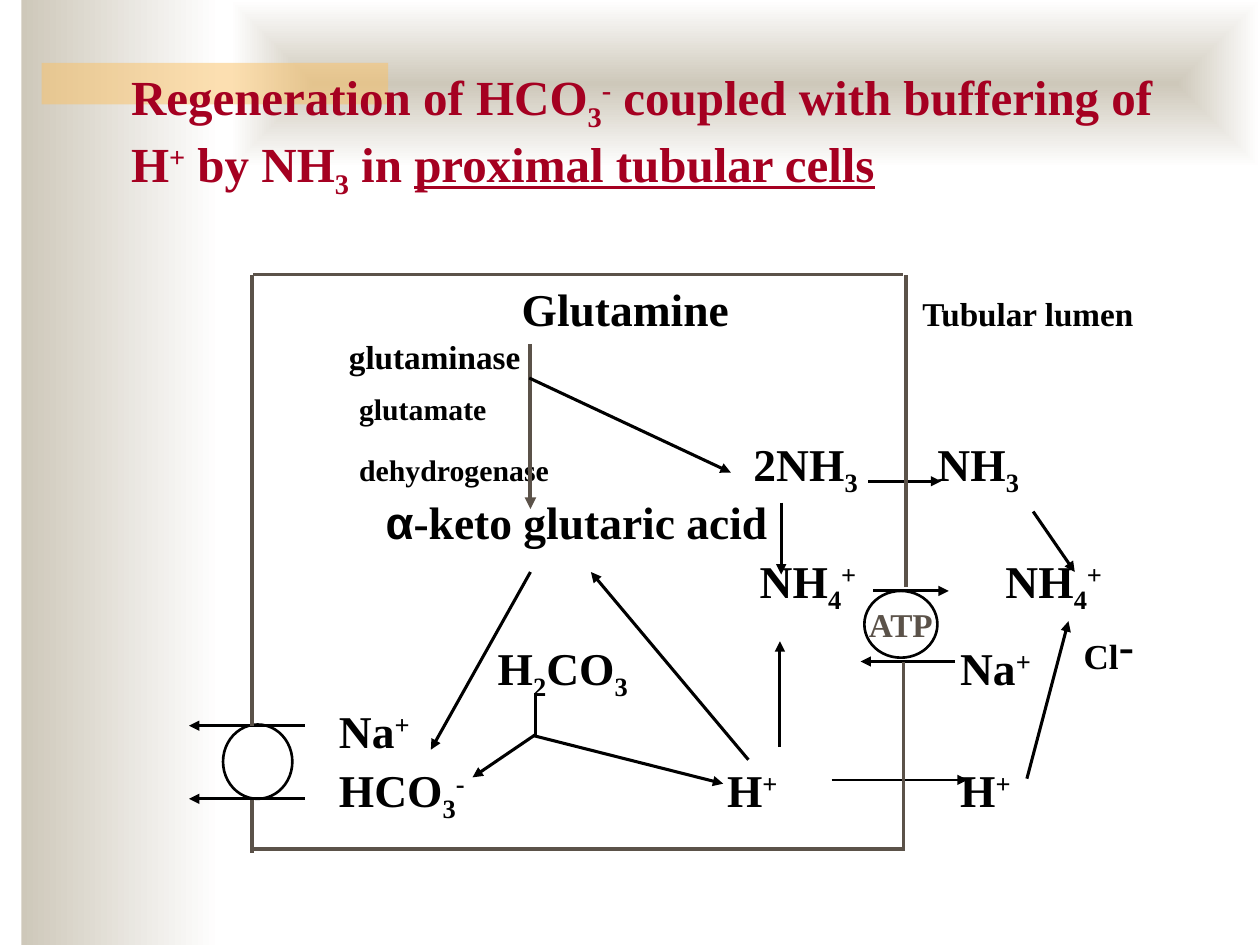
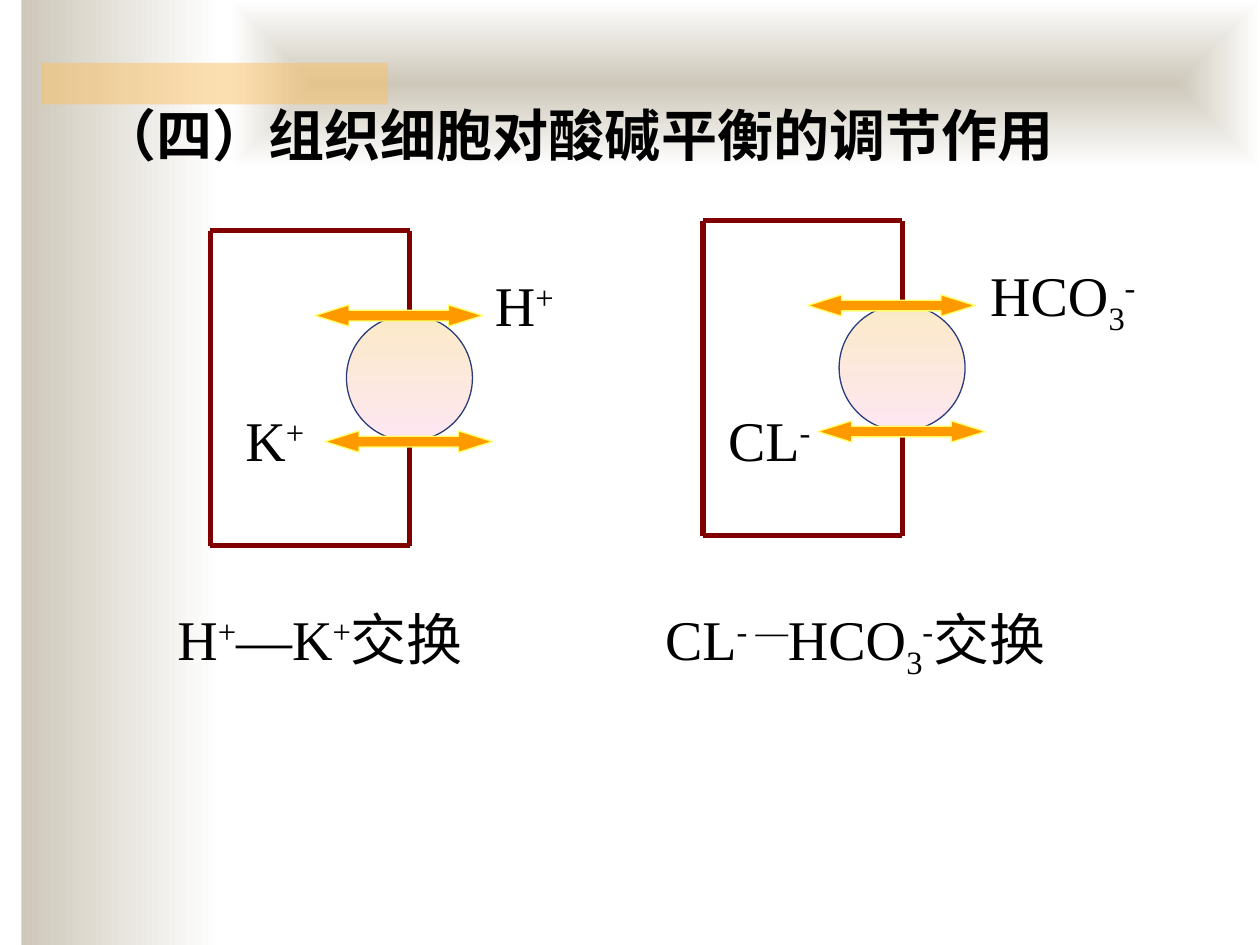
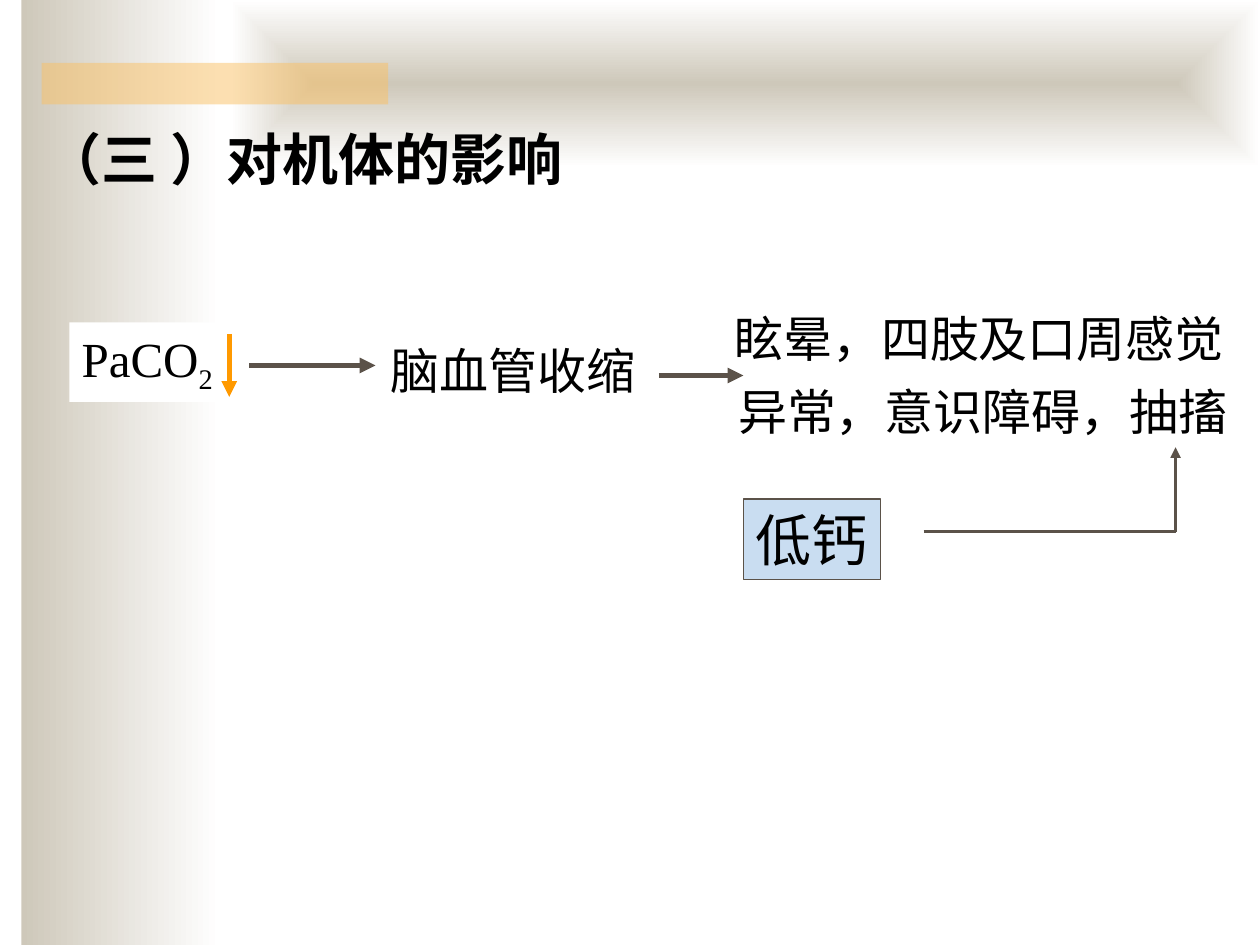
from itertools import groupby

from lxml import etree
from pptx import Presentation
from pptx import util as u
from pptx.dml.color import RGBColor
from pptx.enum import shapes, text
from pptx.oxml.ns import qn

WIDE, HIGH = 10, 7.5
FACE, GREEK = "Times New Roman", "Arial"
BLACK = RGBColor(0x00, 0x00, 0x00)
WHITE = RGBColor(0xFF, 0xFF, 0xFF)
SAND = RGBColor(0xCE, 0xC8, 0xBA)
GOLD = RGBColor(0xFA, 0xC1, 0x64)
RED = RGBColor(0xA5, 0x00, 0x21)
BROWN = RGBColor(0x5B, 0x52, 0x49)
MAROON = RGBColor(0x80, 0x00, 0x00)
ORANGE = RGBColor(0xFF, 0x99, 0x00)
LEMON = RGBColor(0xFF, 0xFF, 0x66)
NAVY = RGBColor(0x2A, 0x3D, 0x7A)
CREAM = RGBColor(0xFB, 0xEA, 0xC7)
PINK = RGBColor(0xFE, 0xE7, 0xF2)
SKY = RGBColor(0xC9, 0xDD, 0xF1)

RECT = shapes.MSO_SHAPE.RECTANGLE
OVAL = shapes.MSO_SHAPE.OVAL
SWAP = shapes.MSO_SHAPE.LEFT_RIGHT_ARROW
SUB, SUP, LINE = "_", "^", "~"

TITLES = [
    ("Regeneration of HCO_3^- coupled with buffering of H^+ by NH_3 in ~proximal tubular cells~",
     (0.94, 0.39, 8.5, 1.25), dict(size=28, color=RED, low=True)),
    ("（四）组织细胞对酸碱平衡的调节作用", (0.7, 0.75, 8.3, 0.64), dict(size=32)),
    ("（三 ）对机体的影响", (0.26, 0.94, 5, 0.64), dict(size=32)),
]

LABELS = [
    ("Glutamine", 4.14, 2.59, 26), ("Tubular lumen", 7.32, 2.59, 19),
    ("glutaminase", 2.77, 2.93, 19), ("glutamate", 2.85, 3.34, 17),
    ("dehydrogenase", 2.85, 3.82, 17),
    ("2NH_3", 5.98, 3.82, 26), ("NH_3", 7.44, 3.82, 26),
    ("α-keto glutaric acid", 3.06, 4.28, 26),
    ("NH_4^+", 6.03, 4.75, 26), ("NH_4^+", 7.98, 4.75, 26),
    ("H_2CO_3", 3.95, 5.44, 26), ("Na^+", 7.62, 5.44, 26),
    ("Cl", 8.6, 5.31, 20), ("-", 8.88, 5.26, 26),
    ("Na^+", 2.69, 5.94, 26), ("HCO_3^-", 2.69, 6.41, 26),
    ("H^+", 5.77, 6.41, 26), ("H^+", 7.62, 6.41, 26),
]
STEPS = [
    (4.25, 5.83, 3.75, 6.17), (4.24, 5.84, 5.74, 6.22), (4.2, 3, 5.8, 3.75),
    (6.2, 3.99, 6.2, 4.56), (6.19, 5.93, 6.19, 5.09), (6.93, 4.69, 7.53, 4.69),
    (8.2, 4.06, 8.53, 4.54), (8.15, 6.18, 8.48, 4.93),
    (5.94, 6.03, 4.69, 4.54), (4.21, 4.54, 3.42, 5.95),
]
FLOWS = [
    (6.89, 3.82, 7.47, 3.82), (7.58, 5.25, 6.83, 5.25), (6.6, 6.19, 7.68, 6.19),
    (2.42, 5.76, 1.5, 5.76), (2.42, 6.34, 1.5, 6.34),
]
WALLS = [
    (2, 5.76, 2, 2.18), (2, 6.35, 2, 6.77), (7.19, 4.66, 7.19, 2.18),
    (2.01, 2.18, 7.17, 2.18), (7.17, 5.25, 7.17, 6.75), (2, 6.74, 7.17, 6.74),
]

CELLS = [(1.67, 1.83), (5.58, 1.75)]
IONS = [
    ("H^+", (3.83, 2.1, 0.66, 0.64)), ("K^+", (1.85, 3.17, 0.66, 0.64)),
    ("H^+—K^+交换", (1.31, 4.75, 2.57, 0.64)),
    ("HCO_3^-", (7.76, 2.02, 1.35, 0.71)), ("CL^-", (5.68, 3.17, 0.85, 0.64)),
    ("CL^-^ ^—HCO_3^-交换", (5.18, 4.75, 3.32, 0.71)),
]

NOTES = [
    ("PaCO_2", (0.55, 2.56, 1.24, 0.63), 28, WHITE, None),
    ("脑血管收缩", (3, 2.65, 2.14, 0.57), 28, WHITE, None),
    ("眩晕，四肢及口周感觉", (5.73, 2.4, 4.09, 0.57), 28, WHITE, None),
    ("异常，意识障碍，抽搐", (5.76, 2.98, 4.08, 0.57), 28, WHITE, None),
    ("低钙", (5.9, 3.96, 1.09, 0.64), 32, SKY, BROWN),
]
LINKS = [
    ((1.82, 2.65, 1.82, 3.15), ORANGE, 3, True),
    ((1.98, 2.9, 2.98, 2.9), BROWN, 3, True),
    ((5.23, 2.98, 5.9, 2.98), BROWN, 3, True),
    ((9.33, 4.22, 9.33, 3.55), BROWN, 2, True),
    ((7.33, 4.22, 9.33, 4.22), BROWN, 2, False),
]


def inch(nums):
    return [u.Inches(n) for n in nums]


def split(line):
    base, under, out = 0, False, []
    for c in line:
        if c == LINE:
            under = not under
        elif c in (SUB, SUP):
            base = -25000 if c == SUB else 30000
        else:
            out.append((c, (base, under, GREEK if c == "α" else FACE)))
            base = 0
    for mark, group in groupby(out, key=lambda pair: pair[1]):
        yield "".join(c for c, _ in group), mark


def write(shape, line, size=28, color=BLACK, bold=False, wrap=True, low=False,
          mid=False, pad=(0.1, 0.05)):
    frame = shape.text_frame
    frame.auto_size = text.MSO_AUTO_SIZE.NONE
    frame.word_wrap = wrap
    frame.margin_left = frame.margin_right = u.Inches(pad[0])
    frame.margin_top = frame.margin_bottom = u.Inches(pad[1])
    anchor = text.MSO_ANCHOR
    frame.vertical_anchor = anchor.BOTTOM if low else anchor.MIDDLE if mid else anchor.TOP
    para = frame.paragraphs[0]
    para.alignment = text.PP_ALIGN.CENTER if mid else text.PP_ALIGN.LEFT
    for part, (base, under, face) in split(line):
        run = para.add_run()
        run.text = part
        font = run.font
        font.name, font.size, font.bold = face, u.Pt(size), bold
        font.color.rgb = color
        if under:
            font.underline = True
        if base:
            run._r.get_or_add_rPr().set("baseline", str(base))


def draw(slide, kind, box, fill=None, edge=None, thick=0.75):
    shape = slide.shapes.add_shape(kind, *inch(box))
    shape.shadow.inherit = False
    if isinstance(fill, tuple) and not isinstance(fill, RGBColor):
        *tones, angle = fill
        shape.fill.gradient()
        shape.fill.gradient_angle = angle
        for stop, tone in zip(shape.fill.gradient_stops, tones):
            stop.color.rgb = tone
    elif fill is None:
        shape.fill.background()
    else:
        shape.fill.solid()
        shape.fill.fore_color.rgb = fill
    if edge is None:
        shape.line.fill.background()
    else:
        shape.line.color.rgb = edge
        shape.line.width = u.Pt(thick)
    return shape


def link(slide, ends, color, thick, head=False):
    line = slide.shapes.add_connector(shapes.MSO_CONNECTOR.STRAIGHT, *inch(ends))
    line.line.color.rgb = color
    line.line.width = u.Pt(thick)
    props = line.element.spPr
    if head:
        etree.SubElement(props.find(qn("a:ln")), qn("a:tailEnd"), type="triangle")
    etree.SubElement(props, qn("a:effectLst"))


def bands(deck, slide):
    side = draw(slide, RECT, (0.17, 0, 1.58, HIGH), (SAND, WHITE, 0))
    top = draw(slide, RECT, (1.83, 0, WIDE - 1.83, 1.33), (SAND, WHITE, 0))
    grad = top.element.spPr.find(qn("a:gradFill"))
    old = grad.find(qn("a:lin"))
    glow = etree.Element(qn("a:path"), path="rect")
    etree.SubElement(glow, qn("a:fillToRect"), {k: "50000" for k in "ltrb"})
    grad.replace(old, glow)
    bar = draw(slide, RECT, (0.33, 0.5, 2.75, 0.33), GOLD)
    tone = bar.element.spPr.find(qn("a:solidFill"))[0]
    etree.SubElement(tone, qn("a:alpha"), val="50000")
    for part in (side, top, bar):
        deck.slide_master.shapes.element.append(part.element)


def renal(slide):
    for line, left, base, size in LABELS:
        em = size / 72
        box = (left, base - em, 0.6 * em * len(line) + 0.2, 1.4 * em)
        write(slide.shapes.add_textbox(*inch(box)), line, size=size, bold=True, pad=(0, 0))
    link(slide, (4.21, 2.73, 4.21, 4.04), BROWN, 2.25, True)
    link(slide, (4.25, 5.5, 4.25, 5.83), BLACK, 1.75)
    for ends in STEPS:
        link(slide, ends, BLACK, 1.75, True)
    for ends in FLOWS:
        link(slide, ends, BLACK, 1.5, True)
    pump = draw(slide, OVAL, (6.86, 4.69, 0.58, 0.53), WHITE, BLACK, 1.5)
    write(pump, "ATP", size=19, color=BROWN, bold=True, wrap=False, mid=True, pad=(0, 0))
    draw(slide, OVAL, (1.77, 5.75, 0.55, 0.59), None, BLACK, 1.5)
    for ends in WALLS:
        link(slide, ends, BROWN, 2)


def cell(slide, x, y):
    r, b = x + 1.58, y + 2.5
    gate = y + 0.67
    draw(slide, OVAL, (r - 0.5, gate, 1, 1), (CREAM, PINK, 270), NAVY)
    for ends in [(r, gate, r, y), (x, y, x, b), (x, b, r, b), (r, gate + 1, r, b), (x, y, r, y)]:
        link(slide, ends, MAROON, 3)
    for step in range(2):
        box = (x + 0.83 + 0.08 * step, gate - 0.08 + step, 1.33, 0.17)
        arrow = draw(slide, SWAP, box, ORANGE, LEMON)
        arrow.adjustments[0], arrow.adjustments[1] = 0.5, 1.59


def swaps(slide):
    for x, y in CELLS:
        cell(slide, x, y)
    for line, box in IONS:
        write(slide.shapes.add_textbox(*inch(box)), line, size=32, wrap=False)


def harm(slide):
    for line, box, size, fill, edge in NOTES:
        write(draw(slide, RECT, box, fill, edge), line, size=size, wrap=False)
    for ends, color, thick, head in LINKS:
        link(slide, ends, color, thick, head)


def main():
    deck = Presentation()
    deck.slide_width, deck.slide_height = inch((WIDE, HIGH))
    for n, ((line, box, form), fill) in enumerate(zip(TITLES, (renal, swaps, harm))):
        slide = deck.slides.add_slide(deck.slide_layouts[5])
        if n == 0:
            bands(deck, slide)
        title = slide.shapes.title
        title.left, title.top, title.width, title.height = inch(box)
        write(title, line, bold=True, **form)
        fill(slide)
    deck.save("out.pptx")


if __name__ == "__main__":
    main()
